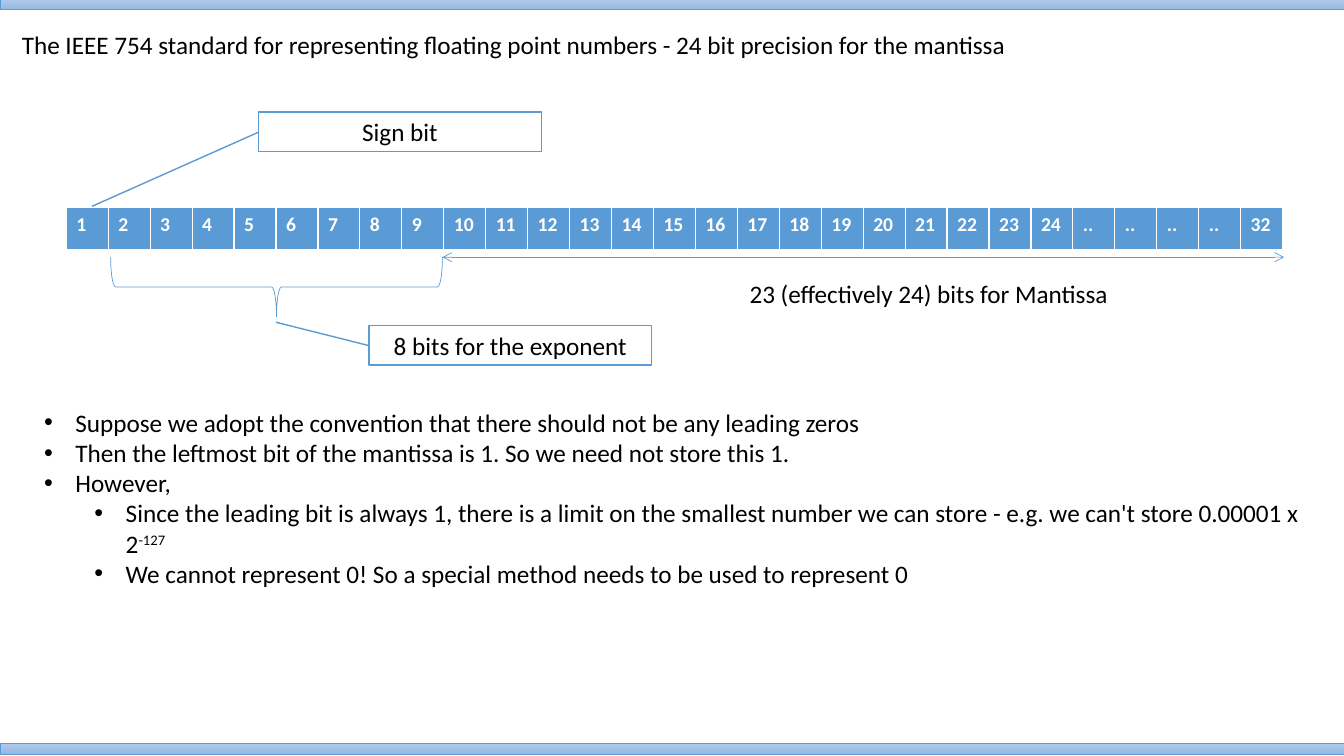
"""Build a slide on the IEEE 754 single precision bit layout."""
from pptx import Presentation
from pptx import util as u
from pptx.dml import color
from pptx.enum import shapes, text
from pptx.oxml import ns, xmlchemy

BLUE, WHITE, BLACK = "5B9BD5", "FFFFFF", "000000"
BITS = [str(number) for number in range(1, 25)] + [".."] * 4 + ["32"]
POINTS = [
    (0, "Suppose we adopt the convention that there should not be any leading zeros", ""),
    (0, "Then the leftmost bit of the mantissa is 1. So we need not store this 1.", ""),
    (0, "However,", ""),
    (1, "Since the leading bit is always 1, there is a limit on the smallest number "
        "we can store - e.g. we can't store 0.00001 x 2", "-127"),
    (1, "We cannot represent 0! So a special method needs to be used to represent 0", ""),
]


def rgb(value):
    """Turn a hex string into a colour."""
    return color.RGBColor.from_string(value)


def area(left, top, width, height):
    """Turn four numbers in centimetres into lengths."""
    return [u.Cm(value) for value in (left, top, width, height)]


def child(parent, tag, **attributes):
    """Append an XML element to its parent."""
    element = xmlchemy.OxmlElement(tag)
    for name, value in attributes.items():
        element.set(name, value)
    parent.append(element)


def write(para, words, size=18, hue=BLACK, bold=False, raised=False):
    """Add formatted words to a paragraph."""
    span = para.add_run()
    span.text = words
    span.font.name = "Calibri"
    span.font.size = u.Pt(size)
    span.font.bold = bold
    span.font.color.rgb = rgb(hue)
    if raised:
        span.font._element.set("baseline", "30000")


def add_outline(page, kind, place, weight=0.5):
    """Add a preset shape with a blue line and no shadow."""
    shape = page.shapes.add_shape(kind, *area(*place))
    shape.shadow.inherit = False
    shape.line.color.rgb = rgb(BLUE)
    shape.line.width = u.Pt(weight)
    return shape


def add_bar(page, top):
    """Add a shaded bar across the page."""
    bar = add_outline(page, shapes.MSO_SHAPE.RECTANGLE, (0, top, 33.87, 0.28))
    bar.fill.gradient()
    bar.fill.gradient_angle = 270
    for stop, hue in zip(bar.fill.gradient_stops, ("B1CBE9", "93B9E4")):
        stop.color.rgb = rgb(hue)


def add_box(page, place):
    """Add a wrapping text box and return its text frame."""
    frame = page.shapes.add_textbox(*area(*place)).text_frame
    frame.word_wrap = True
    frame.auto_size = text.MSO_AUTO_SIZE.SHAPE_TO_FIT_TEXT
    return frame


def add_bits(page):
    """Add the row of bit numbers."""
    place = area(1.67, 5.23, 1.057 * len(BITS), 1.06)
    table = page.shapes.add_table(1, len(BITS), *place).table
    for cell, bit in zip(table.iter_cells(), BITS):
        cell.fill.solid()
        cell.fill.fore_color.rgb = rgb(BLUE)
        write(cell.text_frame.paragraphs[0], bit, size=14, hue=WHITE, bold=True)


def add_callout(page, left, top, words, tip):
    """Add a callout whose line starts at its left side and ends at the tip."""
    callout = add_outline(page, shapes.MSO_SHAPE.LINE_CALLOUT_1, (left, top, 7.12, 1), 1)
    callout.fill.solid()
    callout.fill.fore_color.rgb = rgb(WHITE)
    for index, value in enumerate((0.51, 0, *tip)):
        callout.adjustments[index] = value
    frame = callout.text_frame
    frame.vertical_anchor = text.MSO_ANCHOR.MIDDLE
    frame.paragraphs[0].alignment = text.PP_ALIGN.CENTER
    write(frame.paragraphs[0], words)


def add_brace(page):
    """Add the brace under the exponent bits."""
    brace = add_outline(page, shapes.MSO_SHAPE.LEFT_BRACE, (6.22, 3.05, 1.5, 8.36))
    brace.rotation = 270
    brace.fill.background()


def add_span_arrow(page, left, right, top):
    """Add a level line with an arrowhead at each end."""
    arrow = page.shapes.add_connector(
        shapes.MSO_CONNECTOR.STRAIGHT, u.Cm(left), u.Cm(top), u.Cm(right), u.Cm(top))
    arrow.line.color.rgb = rgb(BLUE)
    arrow.line.width = u.Pt(0.5)
    properties = arrow._element.spPr
    outline = properties.find(ns.qn("a:ln"))
    for end in ("a:headEnd", "a:tailEnd"):
        child(outline, end, type="arrow")
    child(properties, "a:effectLst")


def add_points(page):
    """Add the bulleted remarks."""
    frame = add_box(page, (0.86, 10.13, 32.56, 5.64))
    for index, (level, words, power) in enumerate(POINTS):
        para = frame.add_paragraph() if index else frame.paragraphs[0]
        para.level = level
        properties = para._p.get_or_add_pPr()
        properties.set("marL", str(u.Cm(0.79 + 1.27 * level)))
        properties.set("indent", str(-u.Cm(0.79)))
        child(properties, "a:buFont", typeface="Arial")
        child(properties, "a:buChar", char="•")
        write(para, words)
        if power:
            write(para, power, raised=True)


def main():
    """Build and save the deck."""
    deck = Presentation()
    deck.slide_width, deck.slide_height = u.Cm(33.87), u.Cm(19.05)
    page = deck.slides.add_slide(deck.slide_layouts[6])
    for top in (-0.03, 18.72):
        add_bar(page, top)
    write(add_box(page, (0.3, 0.61, 31.2, 1.06)).paragraphs[0],
          "The IEEE 754 standard for representing floating point numbers"
          " - 24 bit precision for the mantissa")
    add_bits(page)
    add_callout(page, 6.52, 2.82, "Sign bit", (2.38, -0.59))
    add_brace(page)
    add_callout(page, 9.3, 8.2, "8 bits for the exponent", (-0.08, -0.33))
    add_span_arrow(page, 11.15, 32.36, 6.48)
    write(add_box(page, (18.64, 6.88, 12.22, 1.06)).paragraphs[0],
          "23 (effectively 24) bits for Mantissa")
    add_points(page)
    deck.save("out.pptx")


if __name__ == "__main__":
    main()
